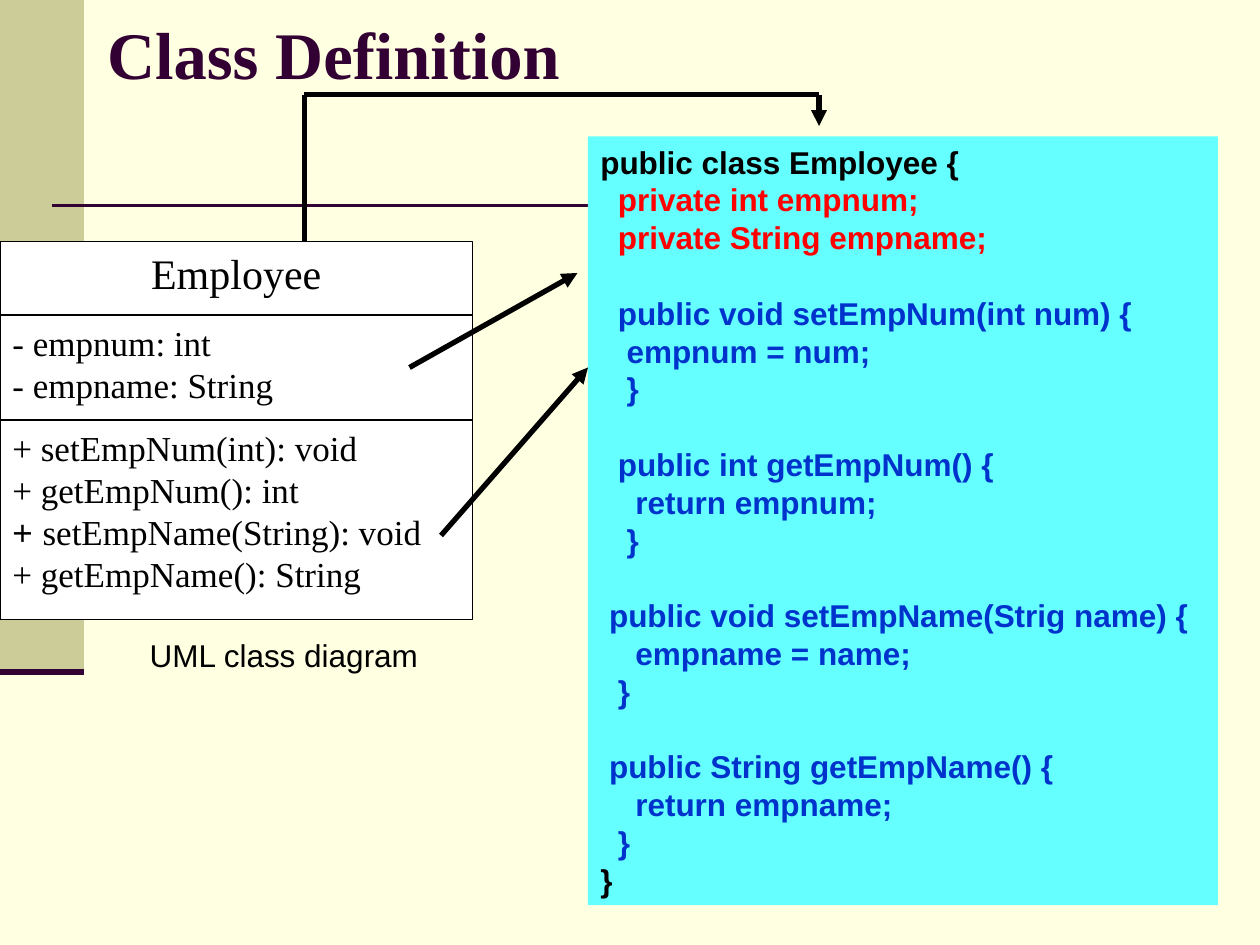
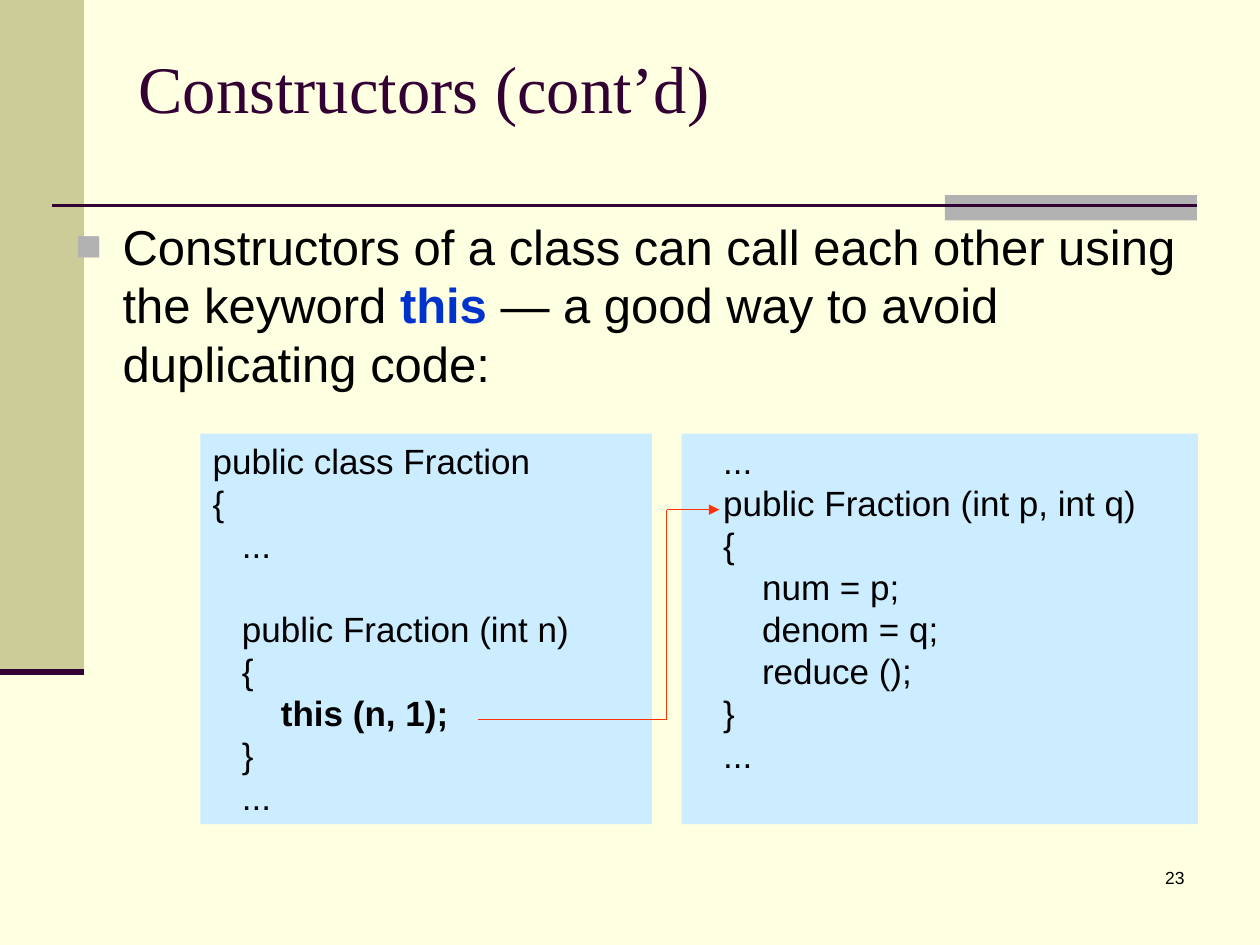
from dataclasses import dataclass
from itertools import pairwise

from lxml.etree import SubElement
from pptx import Presentation
from pptx.dml.color import RGBColor as RGB
from pptx.enum.shapes import MSO_CONNECTOR as Connector, MSO_SHAPE as Shape
from pptx.enum.text import MSO_ANCHOR as Anchor, MSO_AUTO_SIZE as AutoSize, PP_ALIGN as Align
from pptx.oxml.ns import qn
from pptx.util import Pt


@dataclass(frozen=True)
class Theme:
    page: RGB = RGB.from_string("FFFFE1")
    sidebar: RGB = RGB.from_string("CCCC99")
    accent: RGB = RGB.from_string("330033")
    marker: RGB = RGB.from_string("B2B2B2")
    ink: RGB = RGB.from_string("000000")
    white: RGB = RGB.from_string("FFFFFF")
    field: RGB = RGB.from_string("FF0000")
    method: RGB = RGB.from_string("0033CC")
    class_panel: RGB = RGB.from_string("66FFFF")
    fraction_panel: RGB = RGB.from_string("CCECFF")
    call: RGB = RGB.from_string("FF3300")
    serif: str = "Times New Roman"
    sans: str = "Arial"
    title_size: int = 38
    body_size: int = 28
    heading_size: int = 24
    code_size: int = 20
    small_size: int = 18
    number_size: int = 10
    line_height: float = 1.2


@dataclass(frozen=True)
class Box:
    left: float
    top: float
    width: float
    height: float

    def lengths(self):
        return [Pt(v) for v in (self.left, self.top, self.width, self.height)]


THEME = Theme()

EMPLOYEE_CODE = [
    (THEME.ink, ["public class Employee {"]),
    (THEME.field, ["  private int empnum;", "  private String empname;", ""]),
    (THEME.method, [
        "  public void setEmpNum(int num) {", "   empnum = num;", "   }", "",
        "  public int getEmpNum() {", "    return empnum;", "   }", "",
        " public void setEmpName(Strig name) {", "    empname = name;", "  }", "",
        " public String getEmpName() {", "    return empname;", "  }"]),
    (THEME.ink, ["}"]),
]
EMPLOYEE_UML = [
    (42, THEME.heading_size, Align.CENTER, ["Employee"]),
    (60, THEME.code_size, Align.LEFT, ["- empnum: int", "- empname: String"]),
    (114, THEME.code_size, Align.LEFT, [
        "+ setEmpNum(int): void", "+ getEmpNum(): int",
        [("+ ", {"name": THEME.sans}), ("setEmpName(String): void", {})],
        "+ getEmpName(): String"]),
]
CALLING_CODE = [
    "public class Fraction", "{", "   ...", "", "   public Fraction (int n)", "   {",
    [("       ", {}), ("this (n, 1);", {"bold": True})], "   }", "   ..."]
CALLED_CODE = [
    "   ...", "   public Fraction (int p, int q)", "   {", "       num = p;",
    "       denom = q;", "       reduce ();", "   }", "   ..."]


def style(font, size, name=THEME.sans, color=THEME.ink, bold=False):
    font.size, font.name, font.bold = Pt(size), name, bold
    font.color.rgb = color


def write(frame, lines, size, align=Align.LEFT, **look):
    pitch = size * THEME.line_height
    gap = 0
    started = False
    for line in lines:
        if not line:
            gap += pitch
            continue
        paragraph = frame.add_paragraph() if started else frame.paragraphs[0]
        started = True
        paragraph.alignment = align
        paragraph.line_spacing = Pt(pitch)
        if gap:
            paragraph.space_before = Pt(gap)
            gap = 0
        for text, change in [(line, {})] if isinstance(line, str) else line:
            run = paragraph.add_run()
            run.text = text
            style(run.font, size, **{**look, **change})


def add_rect(slide, box, fill, outline=None):
    rect = slide.shapes.add_shape(Shape.RECTANGLE, *box.lengths())
    rect.shadow.inherit = False
    rect.fill.solid()
    rect.fill.fore_color.rgb = fill
    if outline is None:
        rect.line.fill.background()
    else:
        rect.line.color.rgb = outline
        rect.line.width = Pt(0.75)
    rect.text_frame.vertical_anchor = Anchor.TOP
    return rect


def add_text(slide, box, lines, size, wrap=True, **look):
    frame = slide.shapes.add_textbox(*box.lengths()).text_frame
    frame.word_wrap = wrap
    write(frame, lines, size, **look)
    return frame


def add_route(slide, stops, color, width, arrow=True):
    for start, end in pairwise(stops):
        leg = slide.shapes.add_connector(
            Connector.STRAIGHT, *[Pt(v) for v in (*start, *end)])
        leg.line.color.rgb = color
        leg.line.width = Pt(width)
        SubElement(leg._element.spPr, qn("a:effectLst"))
    if arrow:
        SubElement(leg.line._get_or_add_ln(), qn("a:tailEnd"), type="triangle")


def add_frame(prs, title, box, bold=False, band=True):
    slide = prs.slides.add_slide(prs.slide_layouts[5])
    add_rect(slide, Box(0, 0, 48, 384), THEME.sidebar)
    if band:
        add_rect(slide, Box(540, 111.5, 144, 14.5), THEME.marker)
    add_route(slide, [(30, 117.5), (684, 117.5)], THEME.accent, 1.5, arrow=False)
    add_route(slide, [(0, 384), (48, 384)], THEME.accent, 3.5, arrow=False)
    heading = slide.shapes.title
    heading.left, heading.top, heading.width, heading.height = box.lengths()
    frame = heading.text_frame
    frame.text = title
    frame.auto_size = AutoSize.NONE
    frame.vertical_anchor = Anchor.MIDDLE
    frame.paragraphs[0].alignment = Align.LEFT
    style(frame.paragraphs[0].runs[0].font, THEME.title_size, THEME.serif, THEME.accent, bold)
    return slide


def add_code(slide, box, lines, size, fill, **look):
    frame = add_rect(slide, box, fill).text_frame
    frame.word_wrap = True
    write(frame, lines, size, **look)


def add_uml(slide, box):
    top = box.top
    for height, size, align, members in EMPLOYEE_UML:
        section = add_rect(slide, Box(box.left, top, box.width, height), THEME.white, THEME.ink)
        write(section.text_frame, members, size, align, name=THEME.serif)
        top += height
    add_text(slide, Box(box.left + 78.5, box.top + 222, 168.5, 28.8),
             ["UML class diagram"], THEME.small_size, wrap=False)


def add_bullet(slide, box, line):
    frame = add_text(slide, box, [line], THEME.body_size)
    properties = frame.paragraphs[0]._p.get_or_add_pPr()
    properties.set("marL", str(Pt(27)))
    properties.set("indent", str(Pt(-27)))
    SubElement(SubElement(properties, qn("a:buClr")), qn("a:srgbClr"), val=str(THEME.marker))
    SubElement(properties, qn("a:buSzPct"), val="90000")
    SubElement(properties, qn("a:buFont"), typeface=THEME.sans)
    SubElement(properties, qn("a:buChar"), char="■")


def build_class_definition(prs):
    slide = add_frame(prs, "Class Definition", Box(54, 0, 612, 60), bold=True, band=False)
    add_route(slide, [(174, 138), (174, 54), (468, 54), (468, 72)], THEME.ink, 3)
    add_uml(slide, Box(0, 138, 270, 216))
    lines = [[(text, {"color": color})] if text else ""
             for color, block in EMPLOYEE_CODE for text in block]
    add_code(slide, Box(336, 78, 360, 439.2), lines, THEME.small_size,
             THEME.class_panel, bold=True)
    add_route(slide, [(234, 210), (330, 156)], THEME.ink, 3)
    add_route(slide, [(252, 306), (336, 210)], THEME.ink, 3)


def build_constructors(prs):
    slide = add_frame(prs, "Constructors (cont’d)", Box(72, 21.5, 612, 56))
    add_bullet(slide, Box(36, 120, 648, 362), [
        ("Constructors of a class can call each other using the keyword ", {}),
        ("this", {"color": THEME.method, "bold": True}),
        (" — a good way to avoid duplicating code:", {})])
    for left, width, lines in [(389.5, 295, CALLED_CODE), (114.5, 258, CALLING_CODE)]:
        add_code(slide, Box(left, 247.75, width, 223.2), lines,
                 THEME.code_size, THEME.fraction_panel)
    add_route(slide, [(273, 411), (381, 411), (381, 291.25), (411, 291.25)], THEME.call, 0.75)
    add_text(slide, Box(534, 492, 150, 36), ["23"], THEME.number_size, align=Align.RIGHT)


def main():
    prs = Presentation()
    prs.slide_width, prs.slide_height = Pt(720), Pt(540)
    background = prs.slide_master.background.fill
    background.solid()
    background.fore_color.rgb = THEME.page
    build_class_definition(prs)
    build_constructors(prs)
    prs.save("out.pptx")


if __name__ == "__main__":
    main()
